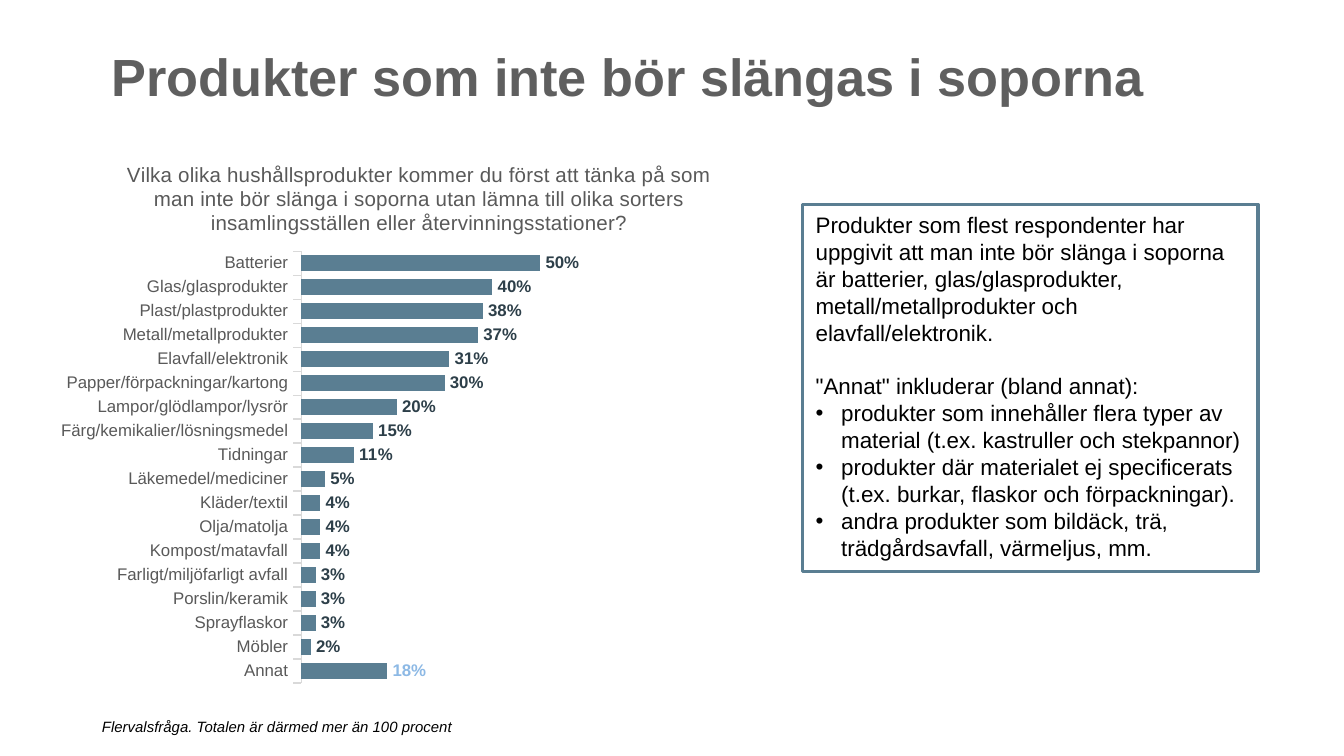
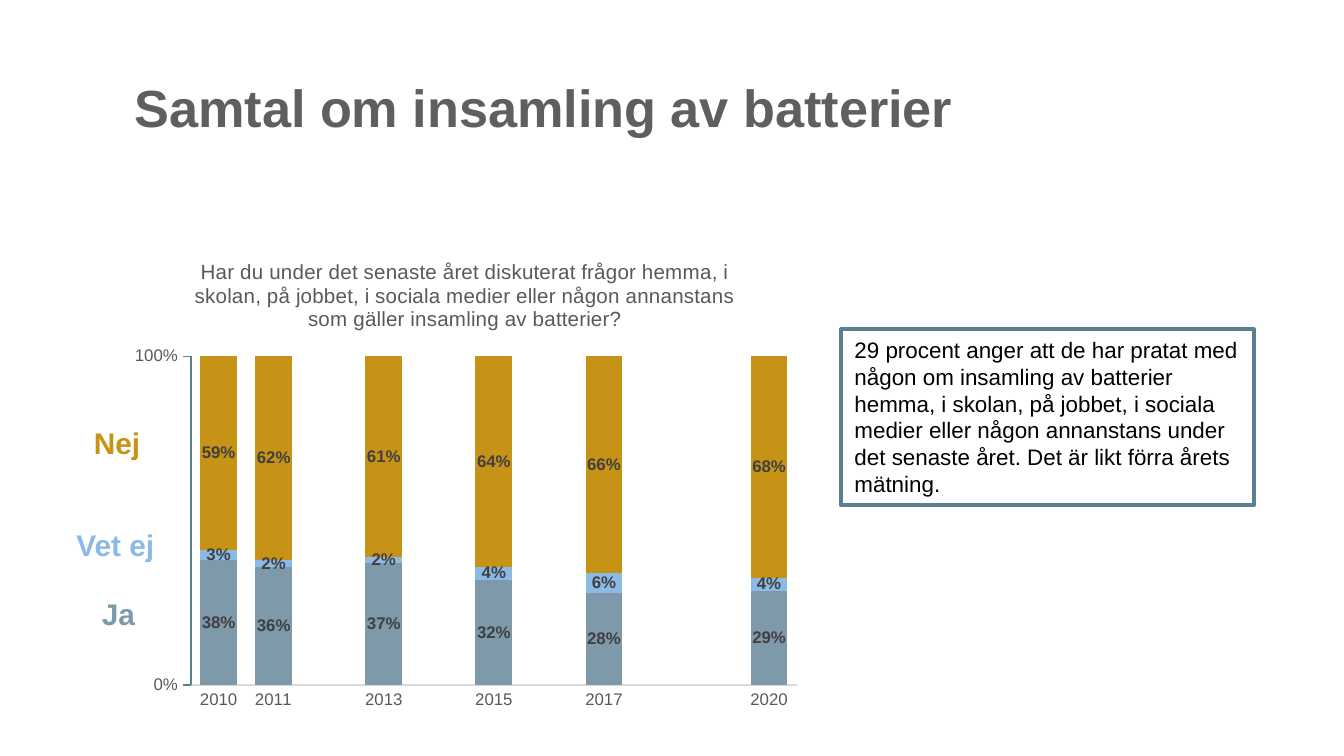
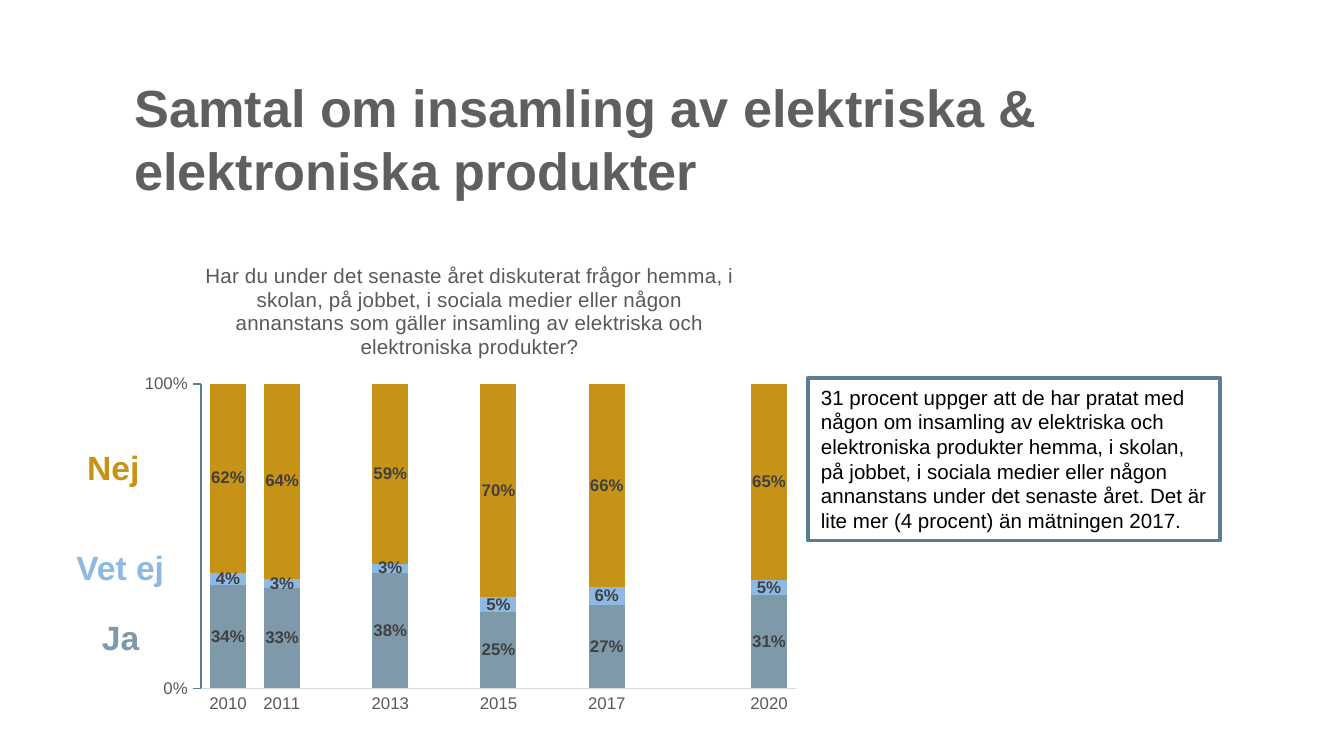
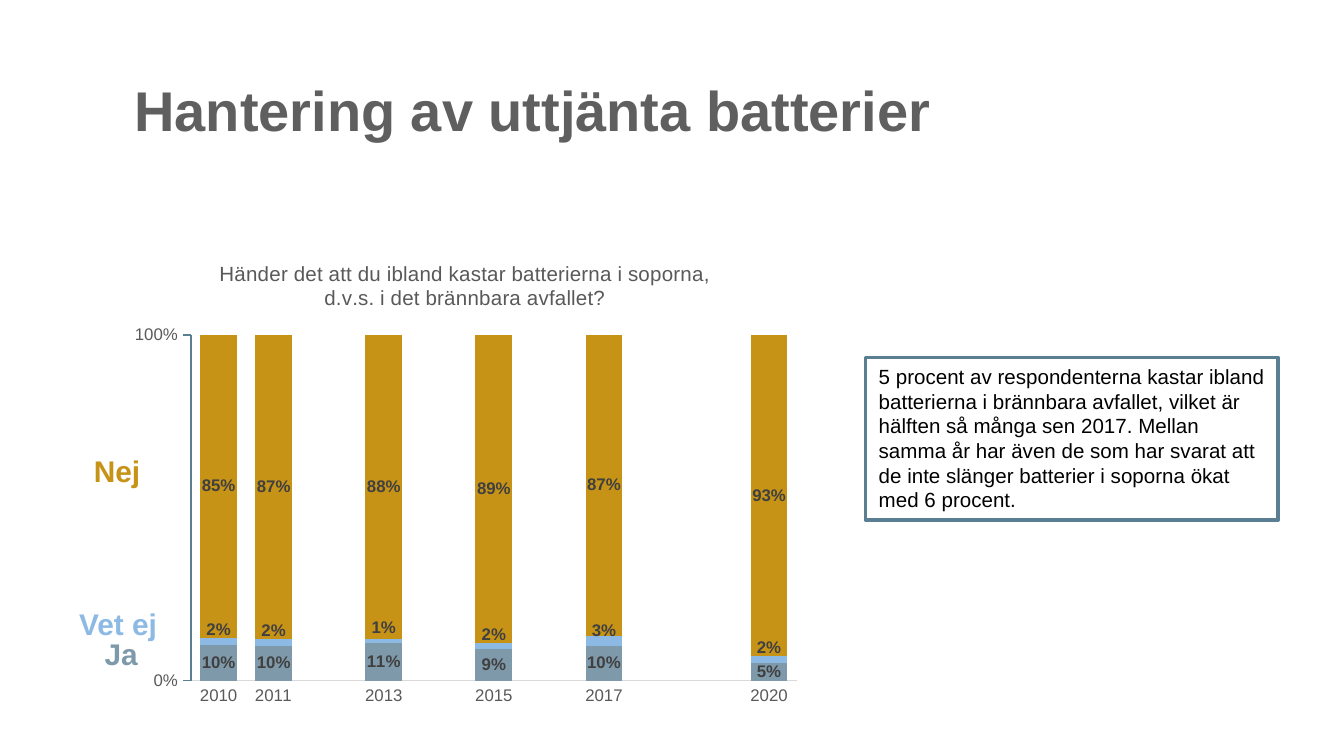
from dataclasses import dataclass

from lxml.etree import SubElement
from pptx import Presentation
from pptx.chart.data import CategoryChartData
from pptx.dml.color import RGBColor
from pptx.enum.chart import XL_CHART_TYPE, XL_LABEL_POSITION, XL_TICK_MARK
from pptx.enum.shapes import MSO_SHAPE
from pptx.enum.text import MSO_ANCHOR, MSO_AUTO_SIZE, PP_ALIGN
from pptx.oxml import parse_xml
from pptx.oxml.ns import nsdecls, qn
from pptx.util import Inches, Pt


@dataclass(frozen=True)
class Theme:
    font: str = "Arial"
    title: str = "5F5F5F"
    text: str = "000000"
    paper: str = "FFFFFF"
    accent: str = "5A7E92"
    axis_text: str = "595959"
    axis_line: str = "D9D9D9"
    bar_label: str = "2D3F49"
    stack_label: str = "404040"
    yes: str = "7E99AA"
    unsure: str = "8DB9E5"
    no: str = "C79316"
    title_size: float = 28
    body_size: float = 12
    small_body_size: float = 11
    question_size: float = 11
    chart_size: float = 10
    axis_size: float = 9
    answer_size: float = 16
    note_size: float = 8


THEME = Theme()
COLUMNS, ROWS = 100, 100  # positions are percentages of the slide
SLIDE_WIDTH = Inches(10)
SLIDE_HEIGHT = Inches(10 * 9 / 16)

YEARS = ["2010", "2011", "", "2013", "", "2015", "", "2017", "", "", "2020"]
ANSWERS = {"Ja": THEME.yes, "Vet ej": THEME.unsure, "Nej": THEME.no}
ANSWER_WIDTHS = {"Ja": 0.25, "Vet ej": 0.59, "Nej": 0.35}  # inches at 16 points

PRODUCTS = {
    "Annat": 0.18, "Möbler": 0.02, "Sprayflaskor": 0.03, "Porslin/keramik": 0.03,
    "Farligt/miljöfarligt avfall": 0.03, "Kompost/matavfall": 0.04, "Olja/matolja": 0.04,
    "Kläder/textil": 0.04, "Läkemedel/mediciner": 0.05, "Tidningar": 0.11,
    "Färg/kemikalier/lösningsmedel": 0.15, "Lampor/glödlampor/lysrör": 0.20,
    "Papper/förpackningar/kartong": 0.30, "Elavfall/elektronik": 0.31,
    "Metall/metallprodukter": 0.37, "Plast/plastprodukter": 0.38,
    "Glas/glasprodukter": 0.40, "Batterier": 0.50,
}

# Each survey slide: percentages follow the years that have a measurement
SURVEYS = [
    dict(
        title="Samtal om insamling av batterier",
        question="Har du under det senaste året diskuterat frågor hemma, i skolan, på jobbet, "
                 "i sociala medier eller någon annanstans som gäller insamling av batterier?",
        chart=(9, 31.32, 51.2, 64), plot=(0.102, 0.247, 0.88, 0.68),
        percentages={"Ja": [38, 36, 37, 32, 28, 29], "Vet ej": [3, 2, 2, 4, 6, 4],
                     "Nej": [59, 62, 61, 64, 66, 68]},
        answers={"Nej": (6, 55.25), "Vet ej": (4.7, 68.8), "Ja": (6.6, 77.94)},
        comment="29 procent anger att de har pratat med någon om insamling av batterier hemma, "
                "i skolan, på jobbet, i sociala medier eller någon annanstans under det senaste "
                "året. Det är likt förra årets mätning.",
        box=(62.6, 43.56, 30.7, 23.29), comment_size=THEME.body_size,
    ),
    dict(
        title="Samtal om insamling av elektriska & elektroniska produkter",
        question="Har du under det senaste året diskuterat frågor hemma, i skolan, på jobbet, "
                 "i sociala medier eller någon annanstans som gäller insamling av elektriska "
                 "och elektroniska produkter?",
        chart=(9.7, 31.85, 50.5, 63.82), plot=(0.104, 0.297, 0.877, 0.631),
        percentages={"Ja": [34, 33, 38, 25, 27, 31], "Vet ej": [4, 3, 3, 5, 6, 5],
                     "Nej": [62, 64, 59, 70, 66, 65]},
        answers={"Nej": (5.5, 58.31), "Vet ej": (4.7, 71.47), "Ja": (6.6, 80.71)},
        answer_size=18,
        comment="31 procent uppger att de har pratat med någon om insamling av elektriska och "
                "elektroniska produkter hemma, i skolan, på jobbet, i sociala medier eller någon "
                "annanstans under det senaste året. Det är lite mer (4 procent) än mätningen 2017.",
        box=(60.1, 50, 30.7, 21.51),
    ),
    dict(
        title="Hantering av uttjänta batterier", title_size=30,
        question="Händer det att du ibland kastar batterierna i soporna, d.v.s. i det "
                 "brännbara avfallet?",
        chart=(9, 31.65, 51.2, 62.93), plot=(0.102, 0.201, 0.88, 0.727),
        percentages={"Ja": [10, 10, 11, 9, 10, 5], "Vet ej": [2, 2, 1, 2, 3, 2],
                     "Nej": [85, 87, 88, 89, 87, 93]},
        label_positions={"Vet ej": XL_LABEL_POSITION.INSIDE_BASE,
                         "Nej": XL_LABEL_POSITION.CENTER},
        answers={"Nej": (6, 59.02), "Vet ej": (4.9, 79.29), "Ja": (6.8, 83.2)},
        comment="5 procent av respondenterna kastar ibland batterierna i brännbara avfallet, "
                "vilket är hälften så många sen 2017. Mellan samma år har även de som har svarat "
                "att de inte slänger batterier i soporna ökat med 6 procent.",
        box=(64.4, 47.29, 30.7, 21.51),
    ),
]


def color(value):
    return RGBColor.from_string(value)


def place(area):
    left, top, width, height = area
    return (int(SLIDE_WIDTH * left / COLUMNS), int(SLIDE_HEIGHT * top / ROWS),
            int(SLIDE_WIDTH * width / COLUMNS), int(SLIDE_HEIGHT * height / ROWS))


class Deck:
    def __init__(self, theme):
        self.theme = theme
        self.presentation = Presentation()
        self.presentation.slide_width = SLIDE_WIDTH
        self.presentation.slide_height = SLIDE_HEIGHT
        self.slide = None

    # Text
    def style(self, font, size, tone, bold=False, italic=False):
        font.name, font.size = self.theme.font, Pt(size)
        font.bold, font.italic = bold, italic
        font.color.rgb = color(tone)

    def run(self, paragraph, text, size, tone, **weight):
        run = paragraph.add_run()
        run.text = text
        self.style(run.font, size, tone, **weight)

    def bullet(self, paragraph):
        properties = paragraph._p.get_or_add_pPr()
        properties.set("marL", str(Inches(0.19)))
        properties.set("indent", str(-Inches(0.19)))
        SubElement(properties, qn("a:buFont"), typeface=self.theme.font)
        SubElement(properties, qn("a:buChar"), char="•")

    def add_slide(self, title, area, size):
        self.slide = self.presentation.slides.add_slide(self.presentation.slide_layouts[5])
        shape = self.slide.shapes.title
        shape.left, shape.top, shape.width, shape.height = place(area)
        frame = shape.text_frame
        frame.vertical_anchor, frame.auto_size = MSO_ANCHOR.TOP, MSO_AUTO_SIZE.NONE
        frame.paragraphs[0].alignment = PP_ALIGN.LEFT
        self.run(frame.paragraphs[0], title, size, self.theme.title, bold=True)

    def add_text(self, text, area, size, tone, **weight):
        frame = self.slide.shapes.add_textbox(*place(area)).text_frame
        frame.word_wrap, frame.auto_size = False, MSO_AUTO_SIZE.SHAPE_TO_FIT_TEXT
        self.run(frame.paragraphs[0], text, size, tone, **weight)

    def add_answer(self, answer, left, top, size):
        scale = size / self.theme.answer_size
        width = (0.2 + ANSWER_WIDTHS[answer] * scale) / SLIDE_WIDTH.inches * COLUMNS
        height = (0.1 + 0.27 * scale) / SLIDE_HEIGHT.inches * ROWS
        self.add_text(answer, (left, top, width, height), size, ANSWERS[answer], bold=True)

    def add_comment(self, paragraphs, area, size, bullets=()):
        shape = self.slide.shapes.add_shape(MSO_SHAPE.RECTANGLE, *place(area))
        shape.shadow.inherit = False
        shape.fill.solid()
        shape.fill.fore_color.rgb = color(self.theme.paper)
        shape.line.color.rgb = color(self.theme.accent)
        shape.line.width = Pt(2)
        frame = shape.text_frame
        frame.word_wrap, frame.auto_size = True, MSO_AUTO_SIZE.SHAPE_TO_FIT_TEXT
        frame.vertical_anchor = MSO_ANCHOR.TOP
        for index, text in enumerate([*paragraphs, *bullets]):
            paragraph = frame.add_paragraph() if index else frame.paragraphs[0]
            paragraph.alignment = PP_ALIGN.LEFT
            if index >= len(paragraphs):
                self.bullet(paragraph)
            elif index:
                paragraph.space_before = Pt(size * 1.2)
            self.run(paragraph, text, size, self.theme.text)

    # Charts
    def style_axis(self, axis, tone, tick):
        axis.has_major_gridlines = False
        axis.major_tick_mark, axis.minor_tick_mark = tick, XL_TICK_MARK.NONE
        self.style(axis.tick_labels.font, self.theme.axis_size, self.theme.axis_text)
        axis.format.line.color.rgb = color(tone)
        axis.format.line.width = Pt(0.75)

    def set_plot_area(self, chart, shares):
        plot_area = chart._chartSpace.chart.plotArea
        for layout in plot_area.findall(qn("c:layout")):
            plot_area.remove(layout)
        sizes = "".join(f'<c:{name} val="{share}"/>' for name, share in zip("xywh", shares))
        plot_area.insert(0, parse_xml(
            f'<c:layout {nsdecls("c")}><c:manualLayout><c:layoutTarget val="inner"/>'
            f'<c:xMode val="edge"/><c:yMode val="edge"/>{sizes}</c:manualLayout></c:layout>'))

    def add_chart(self, kind, categories, series, fills, question, area, plot_shares,
                  label_tone, category_tick):
        data = CategoryChartData(number_format="0%")
        data.categories = categories
        for number, values in enumerate(series, start=1):
            data.add_series(f"Series {number}", values)
        chart = self.slide.shapes.add_chart(kind, *place(area), data).chart
        chart.has_legend = False
        self.style(chart.font, self.theme.chart_size, self.theme.text)

        chart.has_title = True
        chart.chart_title.include_in_layout = False
        self.run(chart.chart_title.text_frame.paragraphs[0], question,
                 self.theme.question_size, self.theme.axis_text)

        self.style_axis(chart.category_axis, self.theme.axis_line, category_tick)
        value_axis = chart.value_axis
        self.style_axis(value_axis, self.theme.accent, XL_TICK_MARK.OUTSIDE)
        value_axis.minimum_scale, value_axis.maximum_scale, value_axis.major_unit = 0, 1, 1
        value_axis.tick_labels.number_format = "0%"
        value_axis.tick_labels.number_format_is_linked = False

        plot = chart.plots[0]
        plot.gap_width, plot.vary_by_categories = 50, False
        for item, fill in zip(plot.series, fills):
            item.format.fill.solid()
            item.format.fill.fore_color.rgb = color(fill)
            item.invert_if_negative = False
            labels = item.data_labels
            labels.show_value = True
            labels.number_format, labels.number_format_is_linked = "0%", False
            self.style(labels.font, self.theme.axis_size, label_tone, bold=True)
        self.set_plot_area(chart, plot_shares)
        return chart

    def add_bar_chart(self, values, **options):
        chart = self.add_chart(
            XL_CHART_TYPE.BAR_CLUSTERED, list(values), [list(values.values())],
            [self.theme.accent], label_tone=self.theme.bar_label,
            category_tick=XL_TICK_MARK.OUTSIDE, **options)
        chart.value_axis.visible = False
        other = chart.plots[0].series[0].points[0].data_label
        self.style(other.font, self.theme.axis_size, self.theme.unsure, bold=True)

    def add_stacked_chart(self, percentages, label_positions, **options):
        series = []
        for numbers in percentages.values():
            remaining = iter(numbers)
            series.append([next(remaining) / 100 if year else None for year in YEARS])
        chart = self.add_chart(
            XL_CHART_TYPE.COLUMN_STACKED_100, YEARS, series, ANSWERS.values(),
            label_tone=self.theme.stack_label, category_tick=XL_TICK_MARK.NONE, **options)
        chart.plots[0].overlap = 100
        for answer, item in zip(percentages, chart.plots[0].series):
            if answer in label_positions:
                item.data_labels.position = label_positions[answer]


def add_product_slide(deck):
    deck.add_slide("Produkter som inte bör slängas i soporna", (7.3, 4.98, 80.8, 18.31),
                   THEME.title_size)
    deck.add_comment(
        ["Produkter som flest respondenter har uppgivit att man inte bör slänga i soporna är "
         "batterier, glas/glasprodukter, metall/metallprodukter och elavfall/elektronik.",
         '"Annat" inkluderar (bland annat):'],
        (59.7, 27.07, 33.9, 48.53), THEME.body_size,
        bullets=[
            "produkter som innehåller flera typer av material (t.ex. kastruller och stekpannor)",
            "produkter där materialet ej specificerats (t.ex. burkar, flaskor och förpackningar).",
            "andra produkter som bildäck, trä, trädgårdsavfall, värmeljus, mm."])
    deck.add_bar_chart(
        PRODUCTS,
        question="Vilka olika hushållsprodukter kommer du först att tänka på som man inte bör "
                 "slänga i soporna utan lämna till olika sorters insamlingsställen eller "
                 "återvinningsstationer?",
        area=(3.4, 18.31, 55.6, 73.6), plot_shares=(0.342, 0.203, 0.64, 0.776))
    deck.add_text("Flervalsfråga. Totalen är därmed mer än 100 procent",
                  (6.6, 94.04, 28.5, 4.27), THEME.note_size, THEME.text, italic=True)


def add_survey_slide(deck, survey):
    deck.add_slide(survey["title"], (9, 9.07, 80.3, 20.98),
                   survey.get("title_size", THEME.title_size))
    deck.add_comment([survey["comment"]], survey["box"],
                     survey.get("comment_size", THEME.small_body_size))
    deck.add_stacked_chart(survey["percentages"], survey.get("label_positions", {}),
                           question=survey["question"], area=survey["chart"],
                           plot_shares=survey["plot"])
    for answer, (left, top) in survey["answers"].items():
        deck.add_answer(answer, left, top, survey.get("answer_size", THEME.answer_size))


def main():
    deck = Deck(THEME)
    add_product_slide(deck)
    for survey in SURVEYS:
        add_survey_slide(deck, survey)
    deck.presentation.save("out.pptx")


if __name__ == "__main__":
    main()
